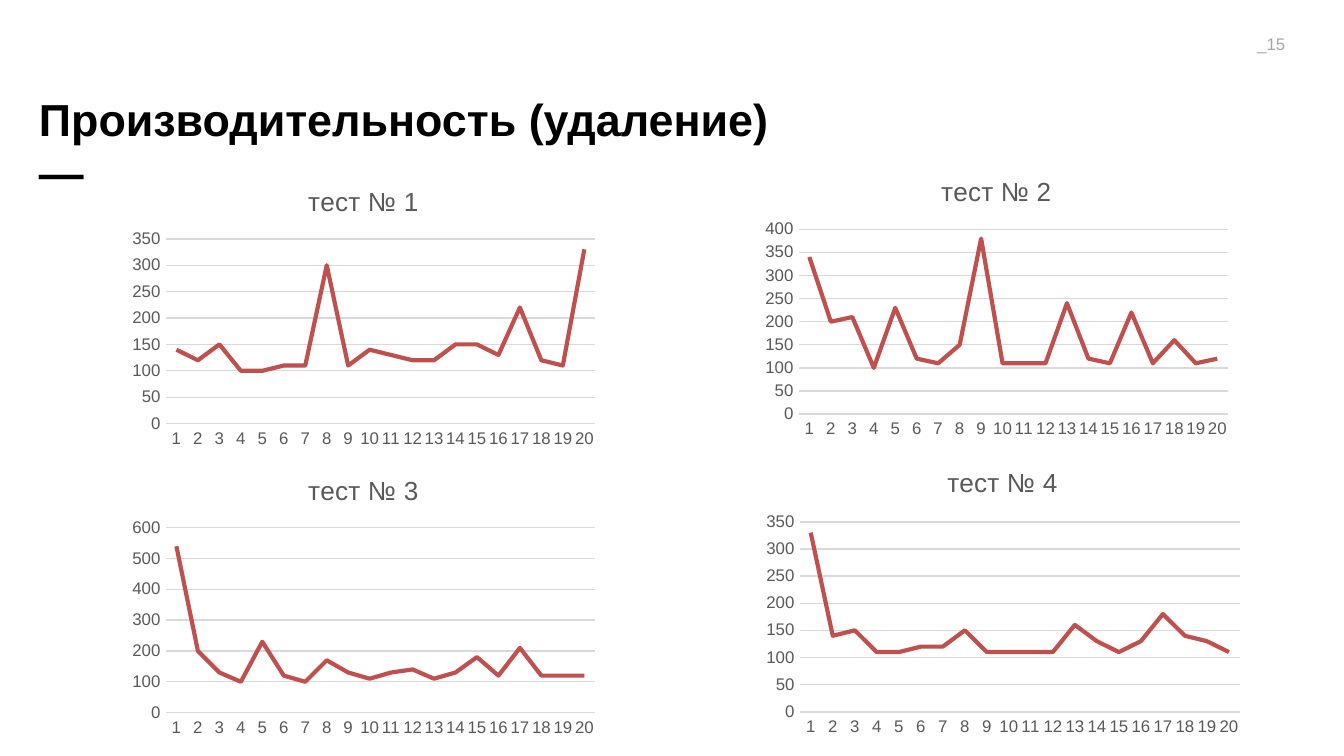
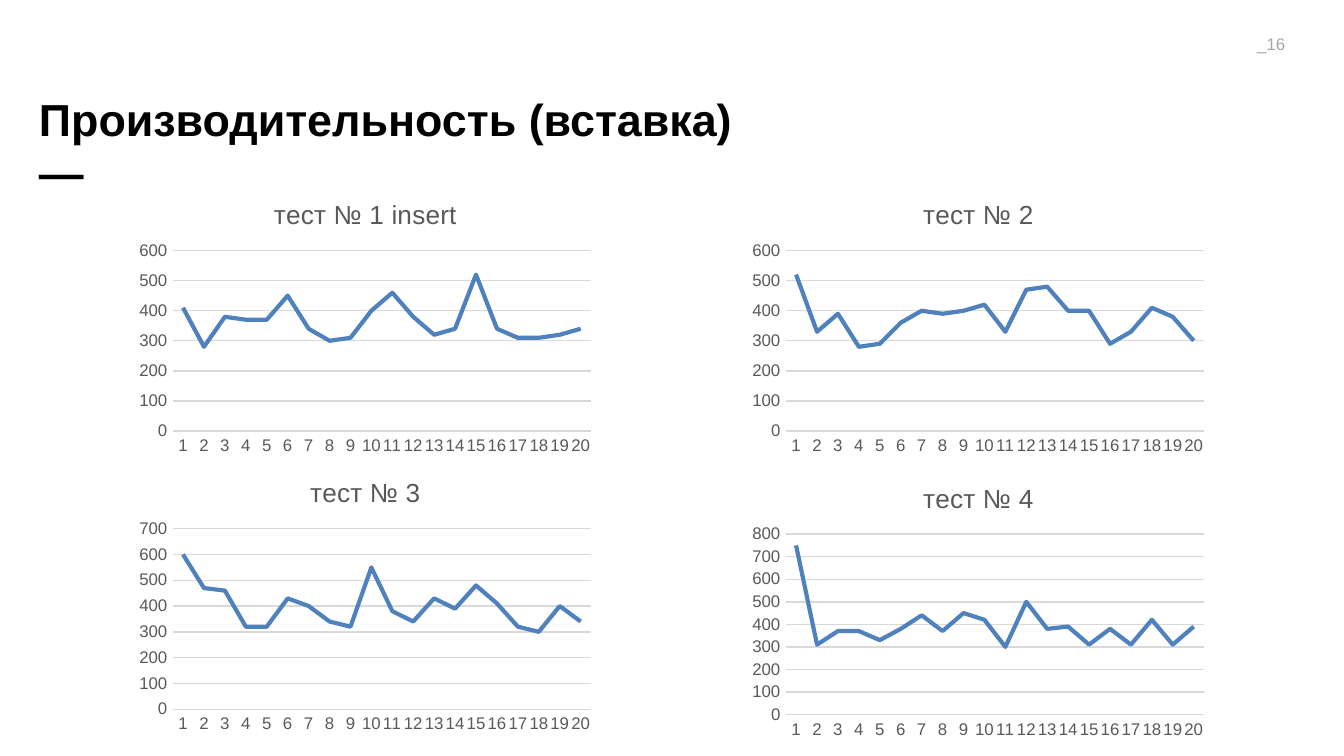
from lxml.etree import SubElement
from pptx import Presentation
from pptx.chart.data import CategoryChartData
from pptx.dml.color import RGBColor
from pptx.enum.chart import XL_CHART_TYPE as ChartType, XL_TICK_MARK as TickMark
from pptx.enum.text import MSO_ANCHOR as Anchor, MSO_AUTO_SIZE as AutoSize, PP_ALIGN as Align
from pptx.oxml.ns import qn
from pptx.util import Pt

FONT = "Arial"
BLACK = RGBColor(0x00, 0x00, 0x00)
NUMBER_GREY = RGBColor(0xA6, 0xA6, 0xA6)
LABEL_GREY = RGBColor(0x59, 0x59, 0x59)
GRID_GREY = RGBColor(0xD9, 0xD9, 0xD9)
DELETE_RED = RGBColor(0xC0, 0x50, 0x4D)
INSERT_BLUE = RGBColor(0x4F, 0x81, 0xBD)

TITLE_ONLY = 5
RUNS = [str(number) for number in range(1, 21)]
PLOT_AREA = {"x": 0.09, "y": 0.25, "w": 0.89, "h": 0.64}

# Each test: chart title, (left, top, width, height) in points, values of the 20 runs
DELETE_TESTS = [
    ("тест № 1", (65.5, 89.3, 258.5, 154.8),
     [140, 120, 150, 100, 100, 110, 110, 300, 110, 140,
      130, 120, 120, 150, 150, 130, 220, 120, 110, 330]),
    ("тест № 2", (404.6, 84.2, 258.5, 154.8),
     [340, 200, 210, 100, 230, 120, 110, 150, 380, 110,
      110, 110, 240, 120, 110, 220, 110, 160, 110, 120]),
    ("тест № 3", (65.5, 244.1, 258.5, 154.8),
     [540, 200, 130, 100, 230, 120, 100, 170, 130, 110,
      130, 140, 110, 130, 180, 120, 210, 120, 120, 120]),
    ("тест № 4", (404.6, 239.8, 265, 159.1),
     [330, 140, 150, 110, 110, 120, 120, 150, 110, 110,
      110, 110, 160, 130, 110, 130, 180, 140, 130, 110]),
]
INSERT_TESTS = [
    ("тест № 1 insert", (69.8, 96.5, 252, 151.2),
     [410, 280, 380, 370, 370, 450, 340, 300, 310, 400,
      460, 380, 320, 340, 520, 340, 310, 310, 320, 340]),
    ("тест № 2", (398.2, 96.5, 252, 151.2),
     [520, 330, 390, 280, 290, 360, 400, 390, 400, 420,
      330, 470, 480, 400, 400, 290, 330, 410, 380, 300]),
    ("тест № 3", (69.8, 245.5, 252, 151.2),
     [600, 470, 460, 320, 320, 430, 400, 340, 320, 550,
      380, 340, 430, 390, 480, 410, 320, 300, 400, 340]),
    ("тест № 4", (398.2, 248.4, 252, 151.2),
     [750, 310, 370, 370, 330, 380, 440, 370, 450, 420,
      300, 500, 380, 390, 310, 380, 310, 420, 310, 390]),
]


def style_font(font, size, color, bold=False):
    font.name = FONT
    font.size = Pt(size)
    font.bold = bold
    font.color.rgb = color


def style_line(line, color, width):
    line.color.rgb = color
    line.width = Pt(width)


def set_title(slide, heading):
    """Write the heading with the dash that closes it on a second line."""
    title = slide.shapes.title
    title.left, title.top, title.width, title.height = Pt(13.7), Pt(44.6), Pt(661), Pt(65.5)
    frame = title.text_frame
    frame.text = f"{heading}\n—"
    frame.word_wrap = True
    frame.auto_size = AutoSize.NONE
    frame.vertical_anchor = Anchor.BOTTOM
    for paragraph in frame.paragraphs:
        paragraph.alignment = Align.LEFT
        paragraph.line_spacing = 1.0
        paragraph.space_before = Pt(0)
        style_font(paragraph.runs[0].font, 24, BLACK, bold=True)


def add_page_number(slide, number):
    frame = slide.shapes.add_textbox(Pt(548), Pt(14.4), Pt(147.6), Pt(18)).text_frame
    frame.word_wrap = True
    frame.text = f"_{number}"
    label = frame.paragraphs[0]
    label.alignment = Align.RIGHT
    style_font(label.runs[0].font, 9, NUMBER_GREY)


def fix_plot_area(chart):
    """Give the inner plot area the same share of every chart."""
    plot_area = chart.plots[0]._element.getparent()
    layout = plot_area.find(qn("c:layout"))
    if layout is None:
        layout = SubElement(plot_area, qn("c:layout"))
        plot_area.insert(0, layout)
    manual = SubElement(layout, qn("c:manualLayout"))
    SubElement(manual, qn("c:layoutTarget")).set("val", "inner")
    for side in ("x", "y"):
        SubElement(manual, qn(f"c:{side}Mode")).set("val", "edge")
    for side, share in PLOT_AREA.items():
        SubElement(manual, qn(f"c:{side}")).set("val", str(share))


def style_axes(chart):
    for axis in (chart.category_axis, chart.value_axis):
        axis.major_tick_mark = TickMark.NONE
        axis.minor_tick_mark = TickMark.NONE
        style_font(axis.tick_labels.font, 9, LABEL_GREY)
    style_line(chart.category_axis.format.line, GRID_GREY, 0.75)
    chart.value_axis.format.line.fill.background()
    chart.value_axis.has_major_gridlines = True
    style_line(chart.value_axis.major_gridlines.format.line, GRID_GREY, 0.75)


def add_test_chart(slide, test, color):
    name, box, timings = test
    chart_data = CategoryChartData()
    chart_data.categories = RUNS
    chart_data.add_series(name, timings)
    chart = slide.shapes.add_chart(ChartType.LINE, *map(Pt, box), chart_data).chart
    style_font(chart.font, 10, BLACK)
    chart.has_legend = False
    chart.has_title = True
    heading = chart.chart_title.text_frame
    heading.text = name
    style_font(heading.paragraphs[0].runs[0].font, 14, LABEL_GREY)
    style_axes(chart)
    fix_plot_area(chart)
    chart.plots[0].vary_by_categories = False
    curve = chart.plots[0].series[0]
    curve.smooth = False
    style_line(curve.format.line, color, 2.25)


def add_performance_slide(deck, number, heading, tests, color):
    slide = deck.slides.add_slide(deck.slide_layouts[TITLE_ONLY])
    set_title(slide, heading)
    add_page_number(slide, number)
    for test in tests:
        add_test_chart(slide, test, color)


def main():
    deck = Presentation()
    deck.slide_width, deck.slide_height = Pt(720), Pt(405)
    add_performance_slide(deck, 15, "Производительность (удаление)", DELETE_TESTS, DELETE_RED)
    add_performance_slide(deck, 16, "Производительность (вставка)", INSERT_TESTS, INSERT_BLUE)
    deck.save("out.pptx")


if __name__ == "__main__":
    main()
